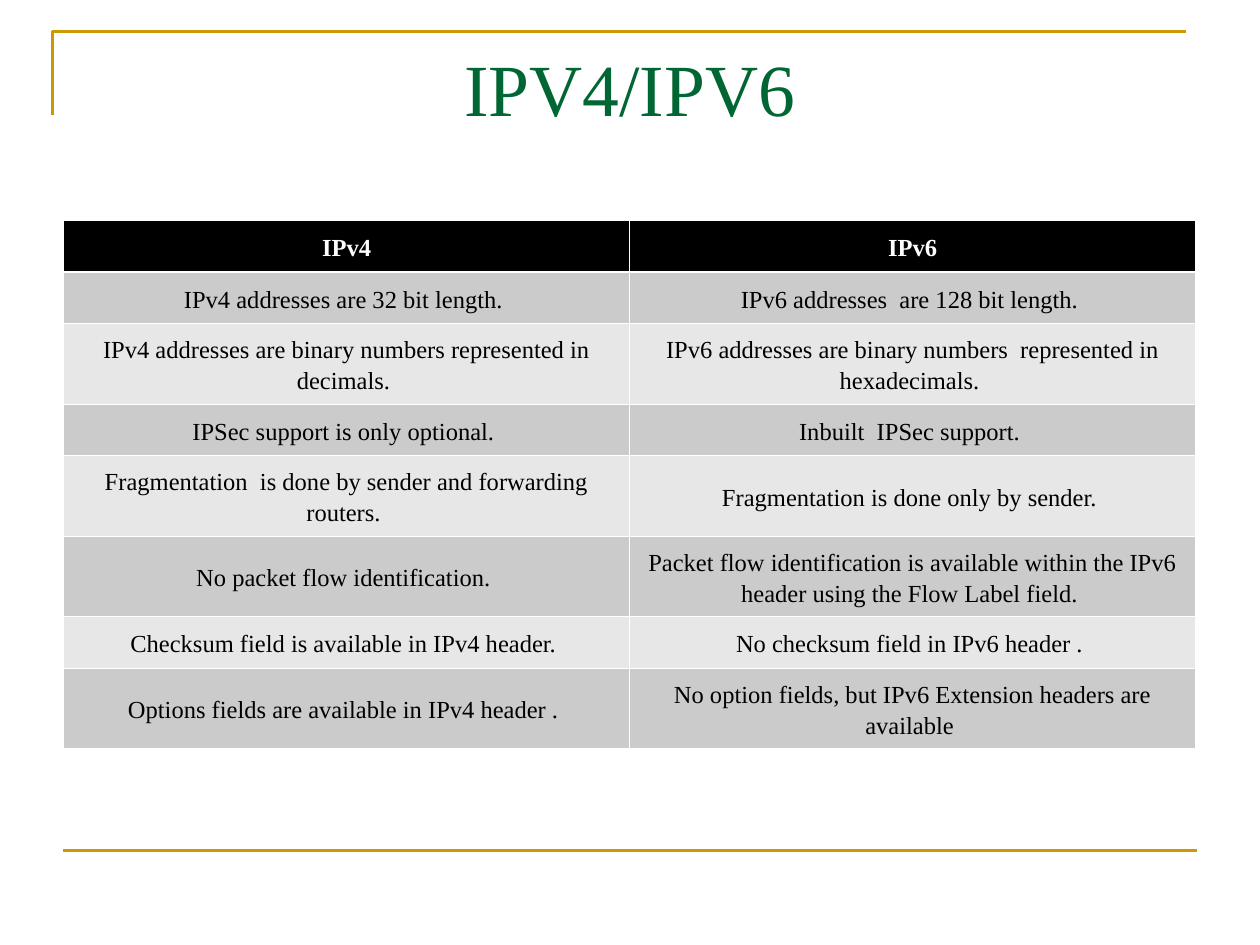
from lxml.etree import SubElement
from pptx import Presentation
from pptx.dml.color import RGBColor
from pptx.enum.shapes import MSO_CONNECTOR
from pptx.enum.text import MSO_ANCHOR, PP_ALIGN
from pptx.oxml.ns import qn
from pptx.util import Pt

ROWS = [
    ("IPv4", "IPv6"),
    ("IPv4 addresses are 32 bit length. ", "IPv6 addresses  are 128 bit length. "),
    ("IPv4 addresses are binary numbers represented in decimals. ",
     "IPv6 addresses are binary numbers  represented in hexadecimals. "),
    ("IPSec support is only optional. ", "Inbuilt  IPSec support. "),
    ("Fragmentation  is done by sender and forwarding routers. ",
     "Fragmentation is done only by sender. "),
    ("No packet flow identification. ",
     "Packet flow identification is available within the IPv6 header "
     "using the Flow Label field. "),
    ("Checksum field is available in IPv4 header. ",
     "No checksum field in IPv6 header . "),
    ("Options fields are available in IPv4 header . ",
     "No option fields, but IPv6 Extension headers are available "),
]
ONE_LINE, TWO_LINES = 29.5, 46
ROW_HEIGHTS = [ONE_LINE, ONE_LINE, TWO_LINES, ONE_LINE,
               TWO_LINES, TWO_LINES, ONE_LINE, TWO_LINES]


def color(hex_code):
    return RGBColor.from_string(hex_code)


class SlideBuilder:
    font = "Times New Roman"
    gold, green, black, white = "CC9900", "006633", "000000", "FFFFFF"
    bands = ("E7E7E7", "CBCBCB")
    thin, thick = 0.45, 1.47

    def __init__(self, slide):
        self.slide = slide

    def style_text(self, para, size, hex_code, bold=False):
        para.alignment = PP_ALIGN.CENTER
        for span in para.runs:
            span.font.name = self.font
            span.font.size = Pt(size)
            span.font.bold = bold
            span.font.color.rgb = color(hex_code)

    def style_line(self, line):
        line.color.rgb = color(self.gold)
        line.width = Pt(1.5)

    def corner(self, points):
        start, *others = [(Pt(x), Pt(y)) for x, y in points]
        builder = self.slide.shapes.build_freeform(*start)
        builder.add_line_segments(others, close=False)
        shape = builder.convert_to_shape()
        shape.shadow.inherit = False
        shape.fill.background()
        self.style_line(shape.line)

    def rule(self, left, right, top):
        connector = self.slide.shapes.add_connector(
            MSO_CONNECTOR.STRAIGHT, Pt(left), Pt(top), Pt(right), Pt(top))
        SubElement(connector._element.spPr, qn("a:effectLst"))
        self.style_line(connector.line)

    def title(self, text, left, top, width, height):
        box = self.slide.shapes.add_textbox(Pt(left), Pt(top), Pt(width), Pt(height))
        frame = box.text_frame
        frame.word_wrap = True
        frame.vertical_anchor = MSO_ANCHOR.MIDDLE
        frame.text = text
        self.style_text(frame.paragraphs[0], 42, self.green)

    def borders(self, cell, top, bottom):
        properties = cell._tc.get_or_add_tcPr()
        widths = {"L": self.thin, "R": self.thin, "T": top, "B": bottom}
        for side, width in widths.items():
            line = SubElement(properties, qn(f"a:ln{side}"), w=str(Pt(width)))
            fill = SubElement(line, qn("a:solidFill"))
            SubElement(fill, qn("a:srgbClr"), val=self.white)

    def cell(self, cell, text, row):
        header = row == 0
        self.borders(cell, self.thick if row == 1 else self.thin,
                     self.thick if header else self.thin)
        cell.fill.solid()
        cell.fill.fore_color.rgb = color(self.black if header else self.bands[row % 2])
        cell.vertical_anchor = MSO_ANCHOR.MIDDLE
        cell.text_frame.text = text
        para = cell.text_frame.paragraphs[0]
        para.line_spacing = 1.15
        self.style_text(para, 14, self.white if header else self.black, header)

    def table(self, rows, heights, left, top, width):
        columns = len(rows[0])
        table = self.slide.shapes.add_table(
            len(rows), columns, Pt(left), Pt(top), Pt(width), Pt(sum(heights))).table
        table.horz_banding = False
        for column in table.columns:
            column.width = Pt(width / columns)
        for row, (texts, height) in enumerate(zip(rows, heights)):
            table.rows[row].height = Pt(height)
            for column, text in enumerate(texts):
                self.cell(table.cell(row, column), text, row)


def main():
    deck = Presentation()
    deck.slide_width, deck.slide_height = Pt(720), Pt(540)
    page = SlideBuilder(deck.slides.add_slide(deck.slide_layouts[6]))

    # Gold frame lines
    page.corner([(30, 66), (30, 18), (678, 18)])
    page.rule(36, 684, 486)

    # Title
    page.title("IPV4/IPV6", 36, 21.6, 647.5, 56)

    # Comparison table
    page.table(ROWS, ROW_HEIGHTS, 36.3, 126, 647)

    deck.save("out.pptx")


if __name__ == "__main__":
    main()
